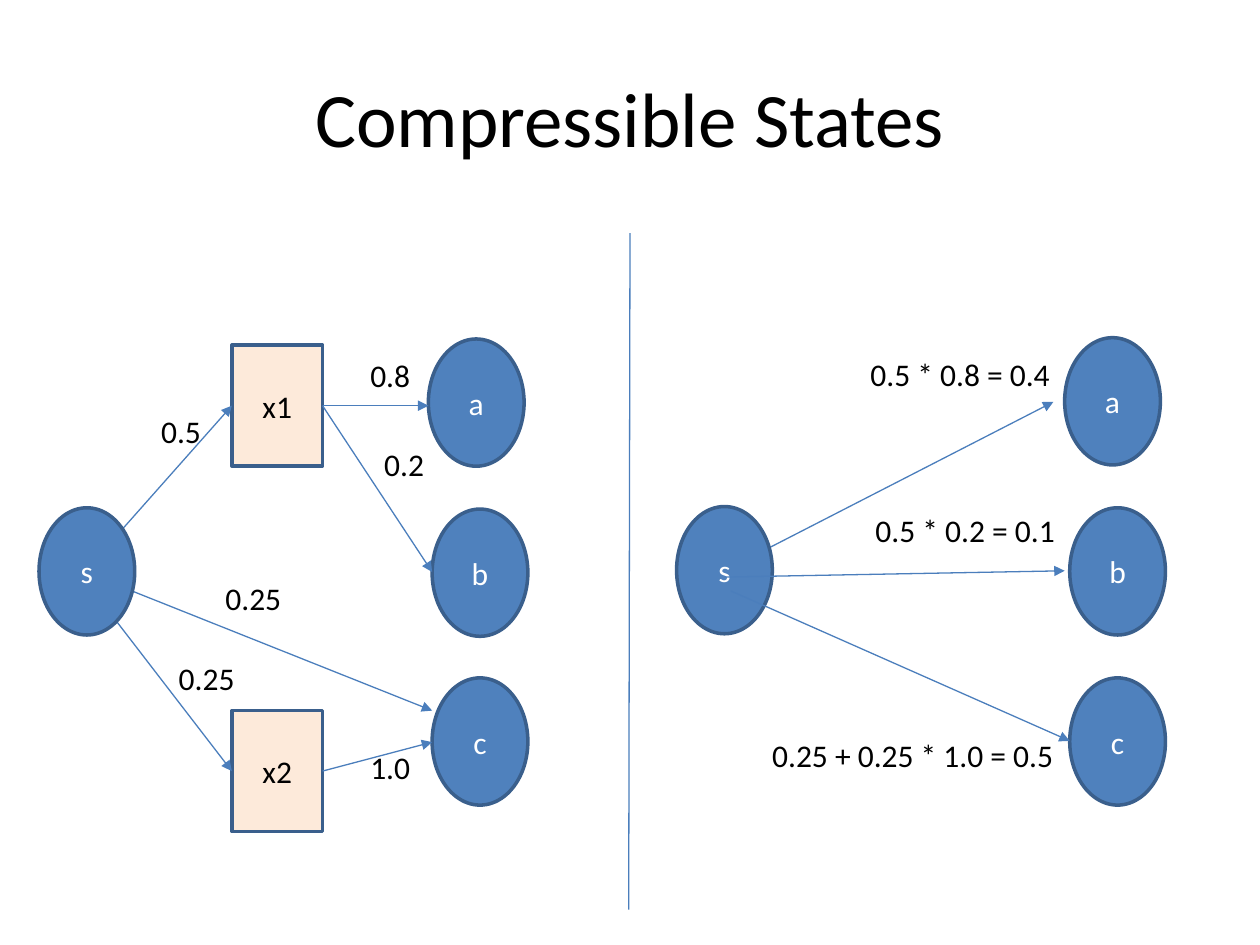
"""Build the Compressible States slide: a state graph before and after compression."""
from dataclasses import dataclass

from lxml import etree
from pptx import Presentation
from pptx.dml.color import RGBColor
from pptx.enum import shapes, text
from pptx.oxml import ns
from pptx.util import Inches, Pt


@dataclass(frozen=True)
class Theme:
    """Colours, font and type sizes of the slide."""
    font: str = "Calibri"
    title_size: float = 44
    body_size: float = 18
    ink: str = "000000"
    paper: str = "FFFFFF"
    state: str = "4F81BD"
    hidden: str = "FDEADA"
    outline: str = "3A5F8C"
    edge: str = "4B7EBC"
    outline_width: float = 2
    edge_width: float = 0.75


@dataclass(frozen=True)
class Node:
    """A state of the graph, with its top left corner in inches."""
    name: str
    left: float
    top: float
    hidden: bool = False


@dataclass(frozen=True)
class Edge:
    """A line between two points in inches."""
    x1: float
    y1: float
    x2: float
    y2: float
    arrow: bool = True


@dataclass(frozen=True)
class Label:
    """A probability beside an edge."""
    words: str
    left: float
    top: float
    width: float


THEME = Theme()
STATE_SIZE = (0.76, 1.01)
HIDDEN_SIZE = (0.72, 0.96)
LABEL_HEIGHT = 0.4

TARGETS = [
    Node("x1", 1.84, 2.74, hidden=True),
    Node("x2", 1.84, 5.64, hidden=True),
    Node("a", 3.4, 2.69),
    Node("b", 3.43, 4.04),
    Node("c", 3.43, 5.38),
    Node("a", 8.45, 2.68),
    Node("b", 8.49, 4.03),
    Node("c", 8.49, 5.38),
]
SOURCES = [Node("s", 0.31, 4.03), Node("s", 5.37, 4.02)]
EDGES_BEHIND = [
    Edge(5, 1.85, 4.99, 7.22, arrow=False),
    Edge(0.67, 4.54, 1.84, 3.22),
    Edge(0.67, 4.54, 3.43, 5.64),
    Edge(0.67, 4.6, 1.84, 6.12),
    Edge(5.73, 4.54, 8.36, 3.19),
]
EDGES_IN_FRONT = [
    Edge(2.56, 3.22, 3.4, 3.22),
    Edge(2.56, 3.22, 3.43, 4.54),
    Edge(2.56, 6.12, 3.43, 5.89),
    Edge(5.8, 4.69, 8.49, 5.88),
    Edge(5.75, 4.58, 8.45, 4.53),
]
LABELS = [
    Label("0.5", 1.18, 3.22, 0.52),
    Label("0.25", 1.69, 4.55, 0.65),
    Label("0.25", 1.32, 5.18, 0.65),
    Label("0.8", 2.84, 2.78, 0.52),
    Label("0.2", 2.95, 3.48, 0.52),
    Label("1.0", 2.84, 5.89, 0.52),
    Label("0.25 + 0.25 * 1.0 = 0.5", 6.03, 5.79, 2.46),
    Label("0.5 * 0.8 = 0.4", 6.81, 2.77, 1.64),
    Label("0.5 * 0.2 = 0.1", 6.85, 4.01, 1.64),
]


def rgb(colour: str) -> RGBColor:
    """Turn a hex string into a colour."""
    return RGBColor.from_string(colour)


def write(tf, words: str, size: float, colour: str, align=None) -> None:
    """Set the text of a frame and format it."""
    tf.text = words
    p = tf.paragraphs[0]
    p.alignment = align
    font = p.runs[0].font
    font.name, font.size = THEME.font, Pt(size)
    font.color.rgb = rgb(colour)


def draw_node(slide, node: Node) -> None:
    """Draw a state as an ellipse, or a hidden state as a rectangle."""
    kind = shapes.MSO_SHAPE.RECTANGLE if node.hidden else shapes.MSO_SHAPE.OVAL
    width, height = HIDDEN_SIZE if node.hidden else STATE_SIZE
    sp = slide.shapes.add_shape(kind, Inches(node.left), Inches(node.top),
                                Inches(width), Inches(height))
    sp.shadow.inherit = False
    sp.fill.solid()
    sp.fill.fore_color.rgb = rgb(THEME.hidden if node.hidden else THEME.state)
    sp.line.color.rgb = rgb(THEME.outline)
    sp.line.width = Pt(THEME.outline_width)
    sp.text_frame.vertical_anchor = text.MSO_ANCHOR.MIDDLE
    write(sp.text_frame, node.name, THEME.body_size,
          THEME.ink if node.hidden else THEME.paper, text.PP_ALIGN.CENTER)


def draw_edge(slide, edge: Edge) -> None:
    """Draw a straight line, with an arrowhead at its end if asked."""
    line = slide.shapes.add_connector(
        shapes.MSO_CONNECTOR.STRAIGHT, Inches(edge.x1), Inches(edge.y1),
        Inches(edge.x2), Inches(edge.y2))
    line.line.color.rgb = rgb(THEME.edge)
    line.line.width = Pt(THEME.edge_width)
    props = line._element.spPr
    if edge.arrow:
        etree.SubElement(props.find(ns.qn("a:ln")), ns.qn("a:tailEnd"), type="triangle")
    etree.SubElement(props, ns.qn("a:effectLst"))


def draw_label(slide, label: Label) -> None:
    """Write a probability in a box that fits its text."""
    box = slide.shapes.add_textbox(Inches(label.left), Inches(label.top),
                                   Inches(label.width), Inches(LABEL_HEIGHT))
    tf = box.text_frame
    tf.word_wrap = False
    tf.auto_size = text.MSO_AUTO_SIZE.SHAPE_TO_FIT_TEXT
    write(tf, label.words, THEME.body_size, THEME.ink)


def draw_title(slide, words: str) -> None:
    """Place and fill the title placeholder."""
    title = slide.shapes.title
    title.left, title.top = Inches(0.5), Inches(0.3)
    title.width, title.height = Inches(9), Inches(1.25)
    title.text_frame.vertical_anchor = text.MSO_ANCHOR.MIDDLE
    write(title.text_frame, words, THEME.title_size, THEME.ink, text.PP_ALIGN.CENTER)


def main() -> None:
    """Build and save the slide."""
    prs = Presentation()
    prs.slide_width, prs.slide_height = Inches(10), Inches(7.5)
    slide = prs.slides.add_slide(prs.slide_layouts.get_by_name("Title Only"))
    draw_title(slide, "Compressible States")
    for draw, items in (
        (draw_node, TARGETS),
        (draw_edge, EDGES_BEHIND),
        (draw_node, SOURCES),
        (draw_edge, EDGES_IN_FRONT),
        (draw_label, LABELS),
    ):
        for item in items:
            draw(slide, item)
    prs.save("out.pptx")


if __name__ == "__main__":
    main()
